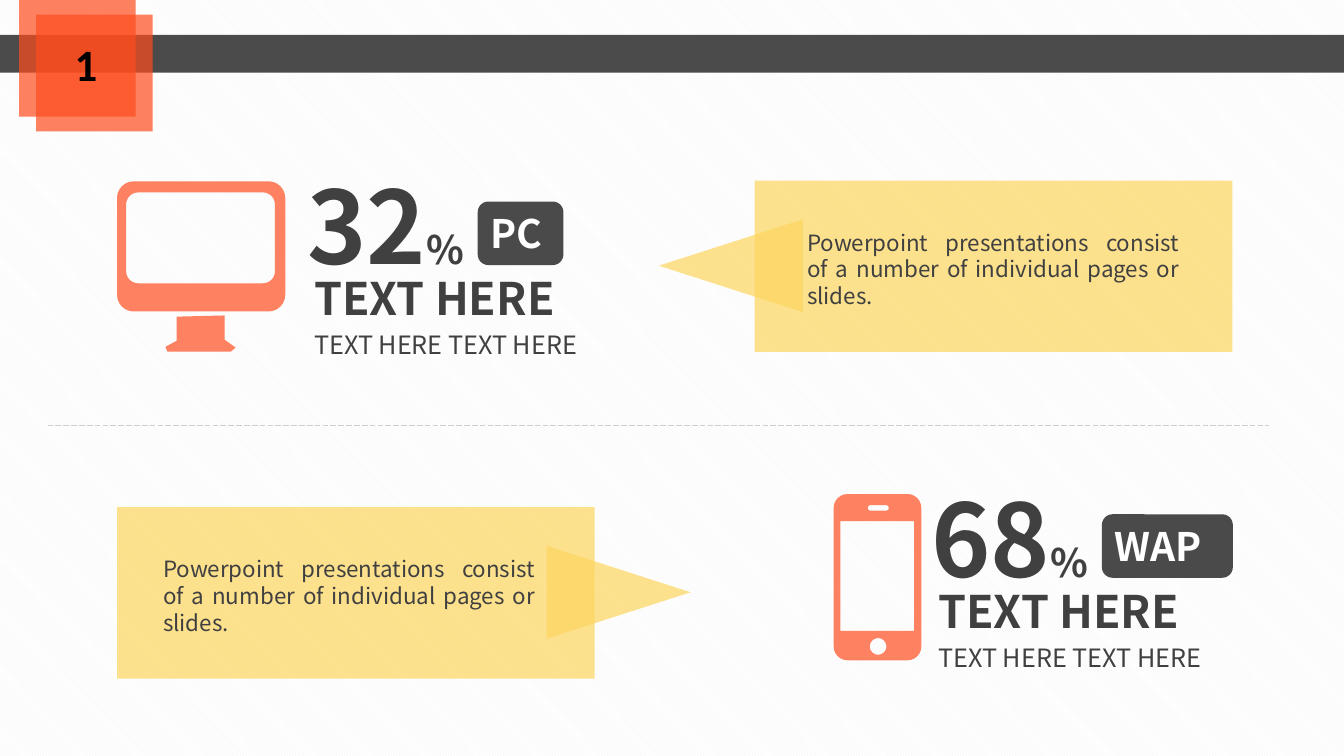
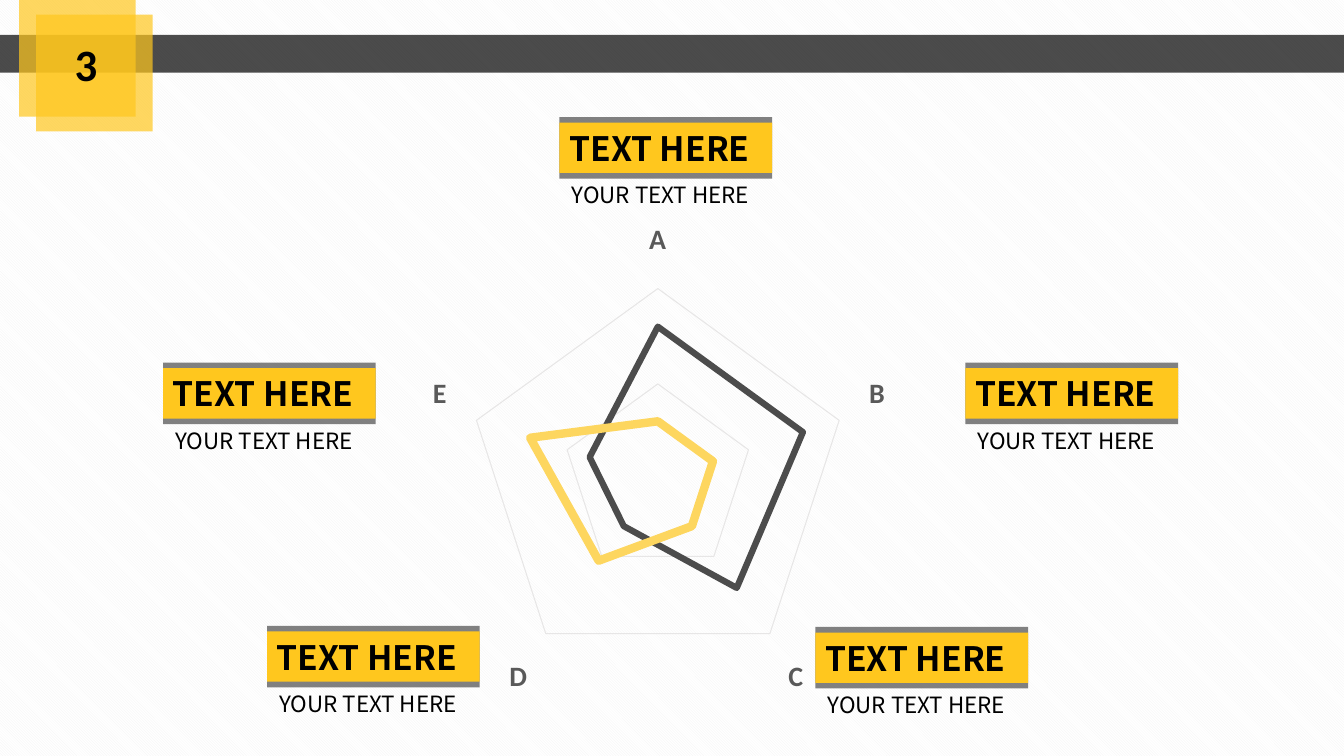
from math import cos, sin, radians

from pptx import Presentation
from pptx.chart.data import CategoryChartData as Data
from pptx.dml.color import RGBColor as Rgb
from pptx.enum.chart import XL_CHART_TYPE as Kind, XL_TICK_MARK as Tick
from pptx.enum.dml import MSO_LINE as Dash, MSO_PATTERN as Pat
from pptx.enum.shapes import MSO_CONNECTOR as Link, MSO_SHAPE as Form
from pptx.enum.text import MSO_ANCHOR as Anchor, MSO_AUTO_SIZE as Fit, PP_ALIGN as Align
from pptx.oxml.ns import qn
from pptx.util import Cm, Pt
from lxml.etree import SubElement

HUES = {
    "black": "000000", "white": "FFFFFF", "stripe": "F2F2F2",
    "ink": "404040", "pill": "4A4A4A", "slate": "4C4C4C",
    "red": "FE4C1E", "coral": "FE8161", "gold": "FFC71E", "sand": "FDD65F",
    "label": "595959", "axis": "D9D9D9", "grid": "E7E6E6", "rule": "D0CECE",
}
SANS = "Noto Sans CJK SC"
PLAIN = "Calibri"
BLURB = "Powerpoint presentations consist of a number of individual pages or slides."


def hue(name):
    return Rgb.from_string(HUES[name])


def curve(left, top, right, base, rad=0):
    turns = range(0, 91, 15) if rad else [0]
    spots = [(right - rad, base - rad, 0), (left + rad, base - rad, 90),
             (left + rad, top + rad, 180), (right - rad, top + rad, 270)]
    return [(x + rad * cos(radians(start + turn)), y + rad * sin(radians(start + turn)))
            for x, y, start in spots for turn in turns]


class Deck:
    def __init__(self):
        self.show = Presentation()
        self.show.slide_width, self.show.slide_height = Cm(33.87), Cm(19.05)
        fill = self.show.slide_master.background.fill
        fill.patterned()
        fill.pattern = Pat.LIGHT_DOWNWARD_DIAGONAL
        fill.fore_color.rgb, fill.back_color.rgb = hue("stripe"), hue("white")

    def page(self, mark, tint):
        self.slide = self.show.slides.add_slide(self.show.slide_layouts[6])
        self.shapes = self.slide.shapes
        self.shape(0, 0.88, 33.87, 0.95, "black", 70)
        for x, y in [(0.48, 0), (0.91, 0.37)]:
            self.shape(x, y, 2.94, 2.94, tint, 70)
        self.text(1.63, 0.79, 1.09, 1.63, mark, 32, "black", True, PLAIN, wrap=False)

    def paint(self, shape, tint, alpha=100):
        shape.shadow.inherit = False
        shape.line.fill.background()
        shape.fill.solid()
        shape.fill.fore_color.rgb = hue(tint)
        if alpha < 100:
            shade = shape._element.spPr.find(".//" + qn("a:srgbClr"))
            SubElement(shade, qn("a:alpha"), val=str(alpha * 1000))

    def shape(self, x, y, wide, high, tint, alpha=100, form=Form.RECTANGLE):
        shape = self.shapes.add_shape(form, Cm(x), Cm(y), Cm(wide), Cm(high))
        self.paint(shape, tint, alpha)
        return shape

    def font(self, font, size, tint, bold=False, face=SANS):
        font.size, font.bold, font.name = Pt(size), bold, face
        font.color.rgb = hue(tint)

    def put(self, shape, words, size, tint, bold=False, face=SANS, align=Align.LEFT):
        para = shape.text_frame.paragraphs[0]
        para.text, para.alignment = words, align
        self.font(para.font, size, tint, bold, face)
        return para

    def text(self, x, y, wide, high, words, size, tint, bold=False, face=SANS,
             align=Align.LEFT, wrap=True):
        box = self.shapes.add_textbox(Cm(x), Cm(y), Cm(wide), Cm(high))
        box.text_frame.word_wrap = wrap
        box.text_frame.auto_size = Fit.SHAPE_TO_FIT_TEXT
        return self.put(box, words, size, tint, bold, face, align)

    def badge(self, x, y, wide, high, words, size, tint, ink, form=Form.RECTANGLE):
        shape = self.shape(x, y, wide, high, tint, form=form)
        shape.text_frame.vertical_anchor = Anchor.MIDDLE
        self.put(shape, words, size, ink, True)

    def icon(self, loops):
        pen = None
        for loop in loops:
            first, *rest = [(Cm(x), Cm(y)) for x, y in loop]
            if pen:
                pen.move_to(*first)
            else:
                pen = self.shapes.build_freeform(*first, scale=1.0)
            pen.add_line_segments(rest, close=True)
        self.paint(pen.convert_to_shape(), "coral")

    def stat(self, x, y, count, tag, wide):
        para = self.text(x, y, 4.7, 3.33, "", 72, "ink", True, wrap=False)
        for words, size in [(count, 72), ("%", 28)]:
            run = para.add_run()
            run.text = words
            self.font(run.font, size, "ink", True)
        self.text(x + 0.18, y + 2.69, 7.1, 1.63, "TEXT HERE", 32, "ink", True)
        self.badge(x + 4.55, y + 1.07, wide, 1.6, tag, 28, "pill", "white",
                   Form.ROUNDED_RECTANGLE)
        self.text(x + 0.18, y + 4.17, 7.65, 1.02, "TEXT HERE TEXT HERE", 18, "ink")

    def callout(self, x, y, turn, tip, pad):
        self.shape(x, y, 12.04, 4.32, "sand", 70)
        arrow = self.shape(x + tip, y + 0.33, 2.34, 3.63, "sand", 70, Form.ISOSCELES_TRIANGLE)
        arrow.rotation = turn
        self.text(x + pad, y + 1.09, 9.88, 2.31, BLURB, 16, "ink", align=Align.JUSTIFY)

    def rule(self, x, y, end):
        line = self.shapes.add_connector(Link.STRAIGHT, Cm(x), Cm(y), Cm(end), Cm(y))
        line.line.color.rgb, line.line.width = hue("rule"), Pt(0.5)
        line.line.dash_style = Dash.LONG_DASH
        SubElement(line._element.spPr, qn("a:effectLst"))

    def label(self, x, y):
        self.shape(x, y, 5.36, 1.55, "slate", 70)
        self.badge(x, y + 0.14, 5.36, 1.27, "TEXT HERE", 24, "gold", "black")
        self.text(x + 0.06, y + 1.5, 6.4, 0.94, "YOUR TEXT HERE", 16, "black")

    def radar(self, x, y, wide, high, cats, rows):
        data = Data()
        data.categories = cats
        for name, vals, tint, width in rows:
            data.add_series(name, vals)
        chart = self.shapes.add_chart(Kind.RADAR, Cm(x), Cm(y), Cm(wide), Cm(high), data).chart
        chart.has_title = chart.has_legend = False
        self.font(chart.font, 10, "black", face=PLAIN)
        chart.plots[0].vary_by_categories = False
        for line, (name, vals, tint, width) in zip(chart.plots[0].series, rows):
            line.smooth = False
            line.format.line.color.rgb = hue(tint)
            line.format.line.width = Pt(width)
        axis = chart.category_axis
        axis.has_major_gridlines = False
        axis.major_tick_mark = Tick.NONE
        self.font(axis.tick_labels.font, 20, "label", True, PLAIN)
        axis.format.line.color.rgb, axis.format.line.width = hue("axis"), Pt(0.75)
        scale = chart.value_axis
        scale.minimum_scale, scale.maximum_scale, scale.major_unit = 0, 125, 62.5
        scale.has_major_gridlines = True
        grid = scale.major_gridlines.format.line
        grid.color.rgb, grid.width = hue("grid"), Pt(0.75)
        scale.visible = False


def main():
    deck = Deck()

    deck.page("1", "red")
    stand = [(5.66, 8.56), (5.66, 7.95), (4.45, 7.98), (4.45, 8.59),
             (4.17, 8.74), (4.22, 8.86), (5.82, 8.86), (5.94, 8.76)]
    deck.icon([stand, curve(2.95, 4.57, 7.19, 7.85, 0.42),
               curve(3.18, 4.85, 6.93, 7.14, 0.3)])
    deck.icon([curve(21.01, 12.45, 23.22, 16.64, 0.35),
               curve(21.87, 12.73, 22.4, 12.87, 0.07),
               curve(21.92, 16.08, 22.34, 16.5, 0.21),
               curve(21.18, 13.13, 23.04, 15.9)])
    deck.stat(7.49, 4.01, "32", "PC", 2.16)
    deck.stat(23.22, 11.89, "68", "WAP", 3.3)
    deck.callout(19.02, 4.55, 270, -1.77, 1.07)
    deck.callout(2.95, 12.78, 90, 11.47, 0.91)
    deck.rule(1.2, 10.72, 31.98)

    deck.page("3", "gold")
    deck.radar(7.32, 5.36, 18.57, 12.37, "ABCDE", [
        ("Series 1", [100, 100, 88, 38, 47], "slate", 4.5),
        ("Series 2", [38, 38, 38, 66, 88], "sand", 6),
    ])
    for x, y in [(24.33, 9.14), (14.1, 2.95), (20.55, 15.8), (6.73, 15.77), (4.11, 9.14)]:
        deck.label(x, y)

    deck.show.save("out.pptx")


if __name__ == "__main__":
    main()
